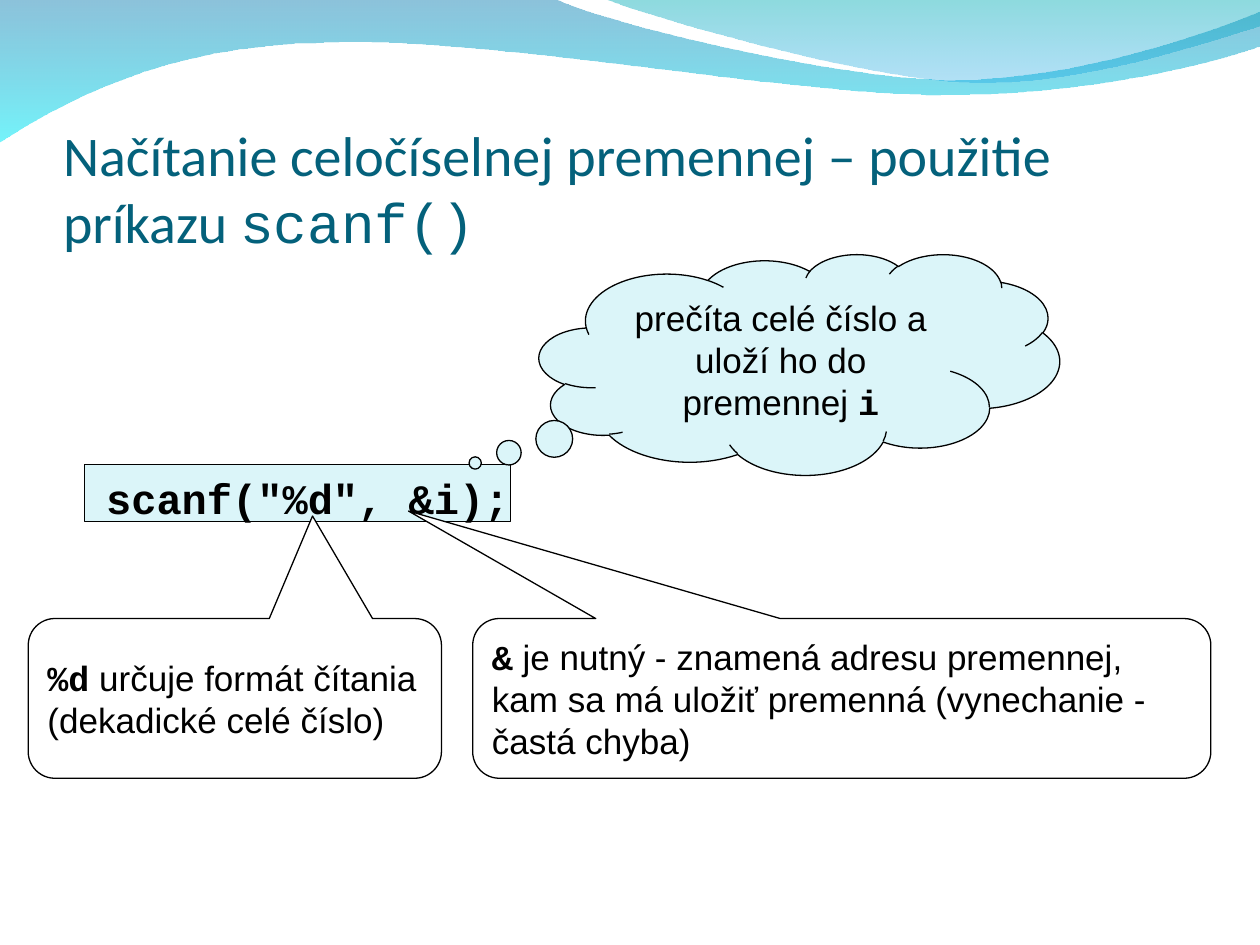
from lxml.etree import SubElement
from pptx import Presentation
from pptx.dml.color import RGBColor
from pptx.enum.shapes import MSO_SHAPE
from pptx.enum.text import MSO_ANCHOR, MSO_AUTO_SIZE, PP_ALIGN
from pptx.oxml.ns import qn
from pptx.util import Cm, Pt

COLORS = {
    "title": "04617B", "ink": "000000", "pale": "DBF5F9", "white": "FFFFFF",
    "deep": "0079AF", "aqua": "00EBF8", "teal": "00ADB6", "sky": "009BE5",
}
SANS, MONO, HEADING = "Arial", "Courier New", "Calibri"

LONG_WAVE = [
    [(0, -0.03)], [(11.18, -0.03)],
    [(12.09, 0.43), (16.87, 1.6), (19.25, 1.6)],
    [(21.67, 1.6), (24.33, 0.66), (25.4, 0.23)],
    [(25.43, 0.91)],
    [(24.97, 1.12), (22.1, 1.93), (18.95, 1.91)],
    [(15.8, 1.91), (9.7, 0.71), (6.53, 0.86)],
    [(3.28, 0.89), (1.17, 2.11), (-0.03, 2.87)],
]
SHORT_WAVE = [
    [(12.17, -0.03)],
    [(12.93, 0.28), (17.32, 1.57), (19.53, 1.65)],
    [(21.74, 1.75), (24.41, 0.81), (25.4, 0.53)],
    [(25.4, 0)],
]


def color(name):
    """Return the named colour."""
    return RGBColor.from_string(COLORS[name])


def bend(outline, segments):
    """Turn every three-point segment of a straight outline into a cubic curve."""
    lines = iter(outline.findall(qn("a:lnTo")))
    for segment in segments[1:]:
        group = [next(lines) for _ in segment]
        if len(group) == 3:
            curve = SubElement(outline, qn("a:cubicBezTo"))
            group[0].addprevious(curve)
            for line in group:
                curve.append(line[0])
                outline.remove(line)


def add_wave(page, left, top, segments, stops):
    """Draw a wave with a translucent vertical gradient from (colour, opacity) stops."""
    corners = [(left + Cm(x), top + Cm(y)) for segment in segments for x, y in segment]
    builder = page.shapes.build_freeform(*corners[0])
    builder.add_line_segments(corners[1:], close=True)
    wave = builder.convert_to_shape()
    bend(next(wave.element.iter(qn("a:path"))), segments)
    wave.shadow.inherit = False
    wave.line.fill.background()
    wave.fill.gradient()
    wave.fill.gradient_angle = 270
    for stop, (name, _) in zip(wave.fill.gradient_stops, stops):
        stop.color.rgb = color(name)
    for node, (_, opacity) in zip(wave.element.spPr.iter(qn("a:srgbClr")), stops):
        SubElement(node, qn("a:alpha"), val=str(opacity * 1000))


def write(frame, spans, size, ink="ink", align=PP_ALIGN.LEFT, anchor=MSO_ANCHOR.MIDDLE):
    """Fill a text frame with one paragraph of (text, font, bold) spans."""
    frame.word_wrap = True
    frame.auto_size = MSO_AUTO_SIZE.NONE
    frame.vertical_anchor = anchor
    para = frame.paragraphs[0]
    para.alignment = align
    para.font.size = Pt(size)
    para.font.color.rgb = color(ink)
    for text, font, bold in spans:
        span = para.add_run()
        span.text = text
        span.font.name = font
        span.font.bold = bold


def add_outlined(page, kind, box, fill, adjustments=()):
    """Add a filled preset shape with a thin dark outline."""
    shape = page.shapes.add_shape(kind, *box)
    shape.shadow.inherit = False
    shape.fill.solid()
    shape.fill.fore_color.rgb = color(fill)
    shape.line.color.rgb = color("ink")
    shape.line.width = Pt(0.75)
    for index, value in enumerate(adjustments):
        shape.adjustments[index] = value
    return shape


def add_title(page, left, top, width, height):
    """Place and format the title."""
    title = page.shapes.title
    title.left, title.top, title.width, title.height = left, top, width, height
    frame = title.text_frame
    frame.margin_left = frame.margin_right = frame.margin_bottom = 0
    spans = [
        ("Načítanie celočíselnej premennej – použitie príkazu ", HEADING, False),
        ("scanf()", MONO, False),
    ]
    write(frame, spans, 32, "title", anchor=MSO_ANCHOR.BOTTOM)


def add_code(page, left, top, width, height):
    """Draw the code panel with its statement."""
    add_outlined(page, MSO_SHAPE.RECTANGLE, (left, top, width, height), "pale")
    statement = page.shapes.add_textbox(left + Cm(0.18), top + Cm(0.03), width + Cm(1), height + Cm(0.1))
    write(statement.text_frame, [('scanf("%d", &i);', MONO, True)], 24, anchor=MSO_ANCHOR.TOP)


def add_thought(page, *box):
    """Draw the cloud that explains the statement."""
    cloud = add_outlined(page, MSO_SHAPE.CLOUD_CALLOUT, box, "pale", (-0.623, 0.447))
    spans = [("prečíta celé číslo a uloží ho do premennej ", SANS, False), ("i", MONO, True)]
    write(cloud.text_frame, spans, 20, align=PP_ALIGN.CENTER)


def add_note(page, box, pointer, term, explanation):
    """Draw a rounded callout that explains one term of the code."""
    note = add_outlined(page, MSO_SHAPE.ROUNDED_RECTANGULAR_CALLOUT, box, "white", (*pointer, 0.167))
    note.text_frame.margin_left = note.text_frame.margin_right = Cm(0.23)
    write(note.text_frame, [(term, MONO, True), (explanation, SANS, False)], 20)


def main():
    """Build and save the slide."""
    deck = Presentation()
    deck.slide_width, deck.slide_height = Cm(25.4), Cm(19.05)
    page = deck.slides.add_slide(deck.slide_layouts[5])
    add_wave(page, 0, 0, LONG_WAVE, [("deep", 45), ("aqua", 55)])
    add_wave(page, 0, 0, SHORT_WAVE, [("teal", 45), ("sky", 30)])
    add_title(page, Cm(1.27), Cm(1.96), Cm(22.86), Cm(3.18))
    add_code(page, Cm(1.71), Cm(9.37), Cm(8.59), Cm(1.15))
    add_thought(page, Cm(10.87), Cm(5.12), Cm(10.49), Cm(4.45))
    note_top, note_height = Cm(12.47), Cm(3.22)
    add_note(page, (Cm(0.57), note_top, Cm(8.33), note_height), (0.188, -1.142),
             "%d", " určuje formát čítania (dekadické celé číslo)")
    add_note(page, (Cm(9.53), note_top, Cm(14.88), note_height), (-0.587, -1.173),
             "&", " je nutný - znamená adresu premennej, kam sa má uložiť premenná (vynechanie - častá chyba)")
    deck.save("out.pptx")


if __name__ == "__main__":
    main()
